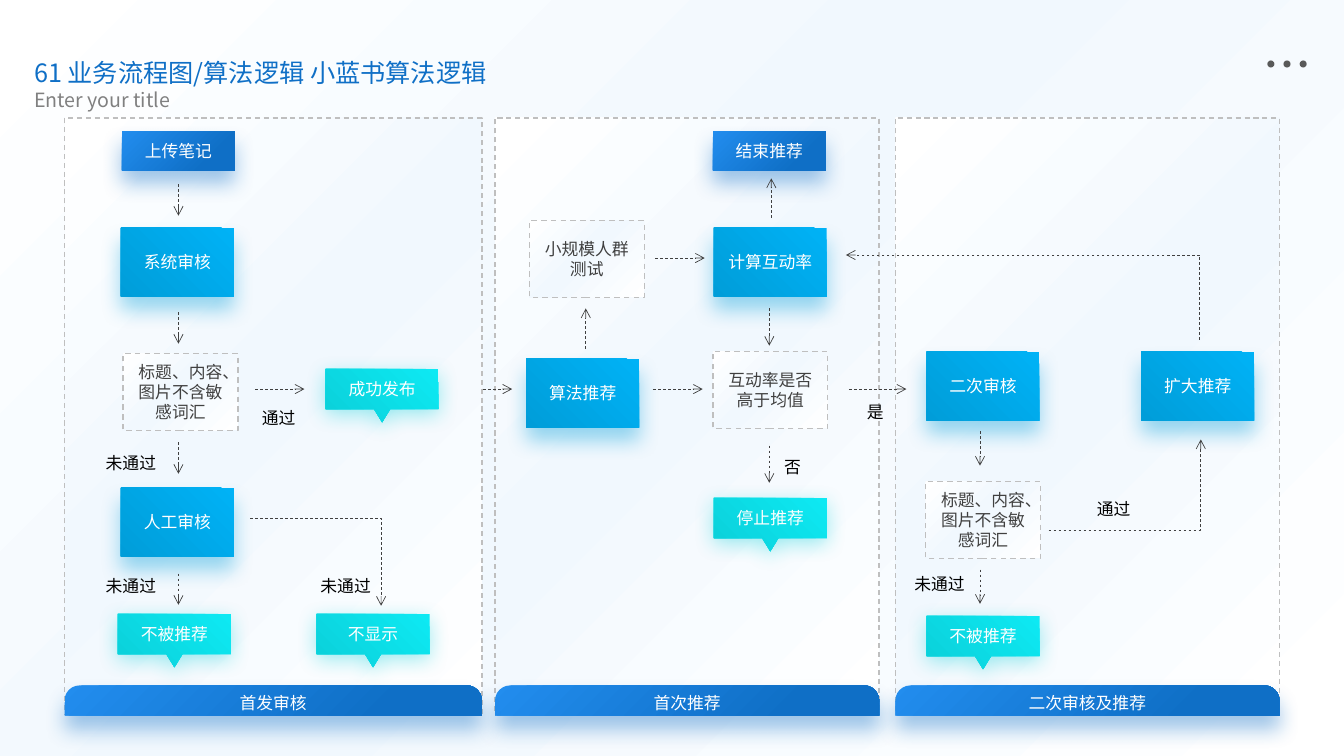
from collections import namedtuple

from lxml.etree import SubElement
from pptx import Presentation
from pptx.dml.color import RGBColor
from pptx.enum.dml import MSO_LINE_DASH_STYLE as Dash
from pptx.enum.shapes import MSO_CONNECTOR as Connector, MSO_SHAPE as Shape
from pptx.enum.text import MSO_ANCHOR as Anchor, PP_ALIGN as Align
from pptx.oxml.ns import qn
from pptx.util import Inches, Pt

FONT = "Noto Sans CJK SC"
COLORS = {
    "title": "0F6FC6", "subtitle": "808080", "dots": "595959", "border": "BFBFBF",
    "ink": "404040", "label": "000000", "white": "FFFFFF", "mist": "F1F8FE",
    "navy": "0F6FC6", "navy_light": "228DEE", "sky": "009DD9", "sky_light": "00B2F6",
    "teal": "0BD0D9", "teal_light": "0DE9F3",
}
PALE = ([(0, "white"), (46, "mist"), (100, "white")], (0, 0, 100, 100))
NAVY = ([(23, "navy"), (100, "navy_light")], (100, 100, 0, 0))
SKY = ([(0, "sky"), (100, "sky_light")], (0, 100, 100, 0))
TEAL = ([(0, "teal"), (100, "teal_light")], (0, 100, 100, 0))

Box = namedtuple("Box", "left top width height")


def inside(panel, x, y, width, height):
    """Return a box offset from the corner of a panel."""
    return Box(panel.left + x, panel.top + y, width, height)


def rgb(name):
    """Look up a colour of the palette."""
    return RGBColor.from_string(COLORS[name])


def lengths(box):
    """Turn a box into slide lengths."""
    return [Inches(value) for value in box]


def write(shape, text, size, color, align=Align.CENTER):
    """Fill a shape's text frame with one uniformly styled paragraph."""
    para = shape.text_frame.paragraphs[0]
    para.text = text
    para.alignment = align
    para.font.size = Pt(size)
    para.font.name = FONT
    para.font.color.rgb = rgb(color)
    SubElement(para.font._element, qn("a:ea"), typeface=FONT)


def paint(shape, gradient):
    """Give a shape a radial gradient and no outline."""
    stops, focus = gradient
    shape.fill.gradient()
    fill = shape._element.spPr.find(qn("a:gradFill"))
    for child in list(fill):
        fill.remove(child)
    stop_list = SubElement(fill, qn("a:gsLst"))
    for position, name in stops:
        stop = SubElement(stop_list, qn("a:gs"), pos=str(position * 1000))
        SubElement(stop, qn("a:srgbClr"), val=COLORS[name])
    circle = SubElement(fill, qn("a:path"), path="circle")
    SubElement(circle, qn("a:fillToRect"),
               {side: str(value * 1000) for side, value in zip("ltrb", focus)})
    shape.line.fill.background()
    shape.shadow.inherit = False


def glow(shape, color, distance):
    """Drop a soft coloured shadow straight below a shape."""
    effects = shape._element.spPr.find(qn("a:effectLst"))
    shadow = SubElement(effects, qn("a:outerShdw"), blurRad=str(Pt(15)),
                        dist=str(Pt(distance)), dir="5400000", rotWithShape="0")
    tint = SubElement(shadow, qn("a:srgbClr"), val=COLORS[color])
    SubElement(tint, qn("a:alpha"), val="40000")


def outline(shape, color, width):
    """Draw a dashed outline."""
    shape.line.color.rgb = rgb(color)
    shape.line.width = Pt(width)
    shape.line.dash_style = Dash.DASH


def block(page, box, gradient, text="", kind=Shape.RECTANGLE, color="white"):
    """Add a gradient shape with centred text."""
    shape = page.shapes.add_shape(kind, *lengths(box))
    paint(shape, gradient)
    if text:
        frame = shape.text_frame
        frame.word_wrap = True
        frame.vertical_anchor = Anchor.MIDDLE
        write(shape, text, 12, color)
    return shape


def terminal(page, panel, x, y, text):
    """Add a start or end block."""
    glow(block(page, inside(panel, x, y, 1.12, 0.39), NAVY, text), "navy", 9.7)


def step(page, panel, x, y, text):
    """Add a process block."""
    glow(block(page, inside(panel, x, y, 1.12, 0.68), SKY, text), "sky", 9.7)


def check(page, panel, x, y, text):
    """Add a dashed condition block."""
    outline(block(page, inside(panel, x, y, 1.14, 0.76), PALE, text, color="ink"), "border", 1)


def result(page, panel, x, y, text):
    """Add a callout whose pointer hangs from the middle of its lower edge."""
    corners = [(0, 0), (1.12, 0), (1.12, 0.4), (0.64, 0.4), (0.56, 0.53), (0.48, 0.4), (0, 0.4)]
    shape = polygon(page, panel, [(x + dx, y + dy) for dx, dy in corners], True)
    paint(shape, TEAL)
    glow(shape, "teal", 4)
    frame = shape.text_frame
    frame.word_wrap = True
    frame.vertical_anchor = Anchor.MIDDLE
    frame.margin_bottom = Inches(0.18)
    write(shape, text, 12, "white")


def polygon(page, panel, points, close):
    """Build a freeform through points given relative to a panel."""
    start, *rest = [(Inches(panel.left + x), Inches(panel.top + y)) for x, y in points]
    builder = page.shapes.build_freeform(*start)
    builder.add_line_segments(rest, close=close)
    return builder.convert_to_shape()


def arrow(page, panel, *points):
    """Draw a dashed arrow, straight or bent, through points of a panel."""
    if len(points) == 2:
        ends = [Inches(value) for x, y in points for value in (panel.left + x, panel.top + y)]
        line = page.shapes.add_connector(Connector.STRAIGHT, *ends)
        SubElement(line._element.spPr, qn("a:effectLst"))
    else:
        line = polygon(page, panel, points, False)
        line.fill.background()
        line.shadow.inherit = False
    outline(line, "ink", 0.5)
    SubElement(line.line._get_or_add_ln(), qn("a:tailEnd"), type="arrow")


def label(page, panel, x, y, text):
    """Add a branch label."""
    width = 0.2 + 0.17 * len(text)
    shape = page.shapes.add_textbox(*lengths(inside(panel, x, y, width, 0.3)))
    shape.text_frame.word_wrap = False
    write(shape, text, 12, "label", Align.LEFT)


def stage(page, panel, name):
    """Draw a stage's dashed panel and its name bar."""
    outline(block(page, panel, PALE), "border", 0.9)
    bar = block(page, inside(panel, 0, 5.63, panel.width, 0.3), NAVY, name,
                Shape.ROUND_2_SAME_RECTANGLE)
    bar.adjustments[0] = 0.5
    bar.adjustments[1] = 0
    glow(bar, "navy", 9.7)


def header(page, box):
    """Place the titles at the left and the three dots at the right."""
    lines = [("61 业务流程图/算法逻辑 小蓝书算法逻辑", 0, 6.77, 0.4, 18, "title"),
             ("Enter your title", 0.3, 2.86, 0.34, 14, "subtitle")]
    for text, y, width, height, size, color in lines:
        shape = page.shapes.add_textbox(*lengths(inside(box, 0, y, width, height)))
        shape.text_frame.word_wrap = True
        write(shape, text, size, color, Align.LEFT)
    for index in range(3):
        place = inside(box, box.width - 0.07 - 0.16 * index, 0.08, 0.07, 0.07)
        dot = page.shapes.add_shape(Shape.OVAL, *lengths(place))
        dot.fill.solid()
        dot.fill.fore_color.rgb = rgb("dots")
        dot.line.fill.background()
        dot.shadow.inherit = False


def first_review(page, panel):
    """Draw the stage from upload to first publication."""
    stage(page, panel, "首发审核")
    terminal(page, panel, 0.57, 0.13, "上传笔记")
    step(page, panel, 0.56, 1.09, "系统审核")
    check(page, panel, 0.58, 2.34, "标题、内容、图片不含敏感词汇")
    step(page, panel, 0.56, 3.67, "人工审核")
    for x, y, text in [(2.59, 2.49, "成功发布"), (0.53, 4.92, "不被推荐"), (2.5, 4.92, "不显示")]:
        result(page, panel, x, y, text)
    label(page, panel, 1.86, 2.83, "通过")
    for x, y in [(0.31, 3.27), (0.31, 4.49), (2.44, 4.49)]:
        label(page, panel, x, y, "未通过")
    for y in (0.66, 1.93, 3.22, 4.52):
        arrow(page, panel, (1.13, y), (1.13, y + 0.31))
    arrow(page, panel, (1.89, 2.69), (2.38, 2.69))
    arrow(page, panel, (1.84, 3.97), (3.14, 3.97), (3.14, 4.84))


def first_recommendation(page, panel):
    """Draw the stage that measures the interaction rate."""
    stage(page, panel, "首次推荐")
    terminal(page, panel, 2.16, 0.13, "结束推荐")
    step(page, panel, 0.31, 2.39, "算法推荐")
    step(page, panel, 2.17, 1.09, "计算互动率")
    check(page, panel, 0.34, 1.02, "小规模人群测试")
    check(page, panel, 2.16, 2.32, "互动率是否高于均值")
    result(page, panel, 2.17, 3.77, "停止推荐")
    label(page, panel, 2.77, 3.31, "否")
    label(page, panel, 3.59, 2.77, "是")
    for x, y in [(-0.32, 2.69), (1.57, 2.69), (1.59, 1.39)]:
        arrow(page, panel, (x, y), (x + 0.49, y))
    for x, start, end in [(2.72, 1.89, 2.26), (2.72, 3.25, 3.62), (0.9, 2.29, 1.89), (2.74, 0.99, 0.6)]:
        arrow(page, panel, (x, start), (x, end))


def second_review(page, panel):
    """Draw the stage that reviews again and widens the audience."""
    stage(page, panel, "二次审核及推荐")
    step(page, panel, 0.31, 2.32, "二次审核")
    step(page, panel, 2.44, 2.32, "扩大推荐")
    check(page, panel, 0.3, 3.61, "标题、内容、图片不含敏感词汇")
    result(page, panel, 0.31, 4.94, "不被推荐")
    label(page, panel, 0.09, 4.47, "未通过")
    label(page, panel, 1.9, 3.73, "通过")
    arrow(page, panel, (-0.46, 2.69), (0.11, 2.69))
    for y in (3.11, 4.48):
        arrow(page, panel, (0.84, y), (0.84, y + 0.34))
    arrow(page, panel, (1.52, 4.09), (3.03, 4.09), (3.03, 3.19))
    arrow(page, panel, (3.02, 2.2), (3.02, 1.36), (-0.49, 1.36))


def main():
    """Build the flowchart slide and save it."""
    deck = Presentation()
    deck.slide_width, deck.slide_height = Inches(13.33), Inches(7.5)
    page = deck.slides.add_slide(deck.slide_layouts[6])
    block(page, Box(0, 0, 13.33, 7.5), PALE)
    header(page, Box(0.24, 0.52, 12.72, 0.64))
    first_recommendation(page, Box(4.91, 1.17, 3.81, 5.92))
    second_review(page, Box(8.88, 1.17, 3.81, 5.92))
    first_review(page, Box(0.64, 1.17, 4.14, 5.92))
    deck.save("out.pptx")


if __name__ == "__main__":
    main()
